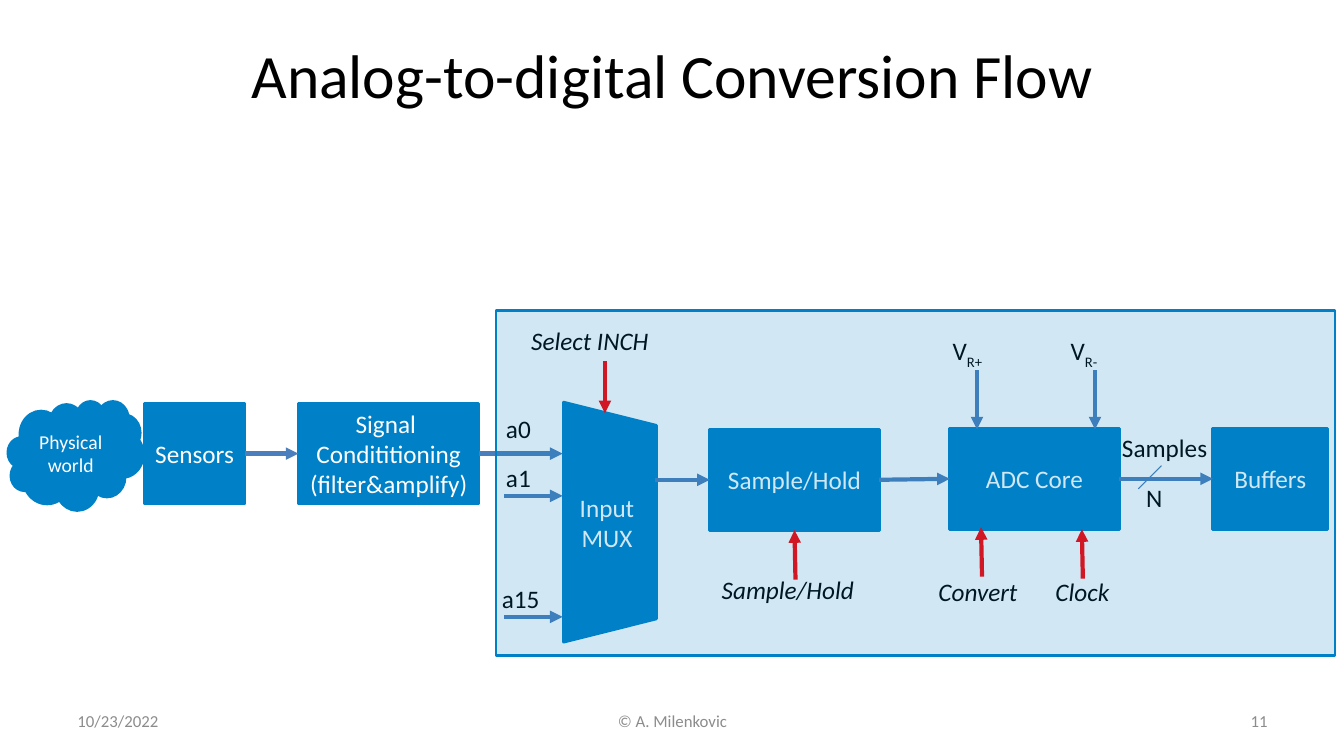
from lxml.etree import SubElement
from pptx import Presentation
from pptx.dml.color import RGBColor
from pptx.enum.shapes import MSO_CONNECTOR, MSO_SHAPE
from pptx.enum.text import MSO_ANCHOR, PP_ALIGN
from pptx.oxml.ns import qn
from pptx.util import Pt

EMU_PER_PX = 9144  # 100 px to the inch
COLORS = {"block": "0080C7", "signal": "4B7EBC", "control": "FF0000",
          "text": "000000", "block_text": "FFFFFF", "footer": "8C8C8C"}
TOP, LEFT, BOTTOM, RIGHT = range(4)


def px(*lengths):
    return [length * EMU_PER_PX for length in lengths]


def rgb(name):
    return RGBColor.from_string(COLORS[name])


class FlowSlide:
    font = "Calibri"

    def __init__(self, deck):
        self.slide = deck.slides.add_slide(deck.slide_layouts[5])
        self.shapes = self.slide.shapes

    def style(self, frame, size, color, align, anchor, italic=False):
        frame.word_wrap = True
        frame.vertical_anchor = anchor
        for paragraph in frame.paragraphs:
            paragraph.alignment = align
            for run in paragraph.runs:
                run.font.name = self.font
                run.font.size = Pt(size)
                run.font.italic = italic
                run.font.color.rgb = rgb(color)

    def title(self, text, box):
        heading = self.shapes.title
        heading.left, heading.top, heading.width, heading.height = px(*box)
        heading.text_frame.text = text
        self.style(heading.text_frame, 44, "text", PP_ALIGN.CENTER, MSO_ANCHOR.MIDDLE)

    def footer(self, text, left, width, align):
        note = self.shapes.add_textbox(*px(left, 695, width, 40))
        note.text_frame.text = text
        self.style(note.text_frame, 12, "footer", align, MSO_ANCHOR.MIDDLE)

    def label(self, text, left, top, width, italic=False, subscript=""):
        caption = self.shapes.add_textbox(*px(left, top, width, 40))
        caption.text_frame.text = text
        if subscript:
            index = caption.text_frame.paragraphs[0].add_run()
            index.text = subscript
            index.font._element.set("baseline", "-25000")
        self.style(caption.text_frame, 18, "text", PP_ALIGN.LEFT, MSO_ANCHOR.TOP, italic)

    def block(self, text, box, kind=MSO_SHAPE.RECTANGLE, size=18):
        stage = self.shapes.add_shape(kind, *px(*box))
        stage.shadow.inherit = False
        stage.fill.solid()
        stage.fill.fore_color.rgb = rgb("block")
        stage.line.color.rgb = rgb("block")
        stage.line.width = Pt(2)
        stage.text_frame.text = text
        self.style(stage.text_frame, size, "block_text", PP_ALIGN.CENTER, MSO_ANCHOR.MIDDLE)
        return stage

    def multiplexer(self, text, box):
        """Trapezoid turned so its wide side faces left, with upright text."""
        mux = self.block(text, box, MSO_SHAPE.TRAPEZOID)
        mux.rotation = 90
        mux.text_frame._txBody.bodyPr.set("vert", "vert270")

    def tinted_frame(self, box, opacity):
        frame = self.block("", box)
        color = frame.fill._xPr.find(qn("a:solidFill"))[0]
        SubElement(color, qn("a:alpha")).set("val", str(opacity * 1000))

    def line(self, start, end, color="signal", width=3, arrow=True, source=None, target=None):
        """Line between two points; source and target are (shape, side) to join."""
        link = self.shapes.add_connector(MSO_CONNECTOR.STRAIGHT, *px(*start, *end))
        link.line.color.rgb = rgb(color)
        link.line.width = Pt(width)
        if arrow:
            SubElement(link.line._get_or_add_ln(), qn("a:tailEnd")).set("type", "triangle")
        SubElement(link._element.spPr, qn("a:effectLst"))
        if source:
            link.begin_connect(*source)
        if target:
            link.end_connect(*target)


def main():
    deck = Presentation()
    deck.slide_width, deck.slide_height = px(1333, 750)
    flow = FlowSlide(deck)

    flow.title("Analog-to-digital Conversion Flow", (67, 30, 1200, 87))
    flow.footer("10/23/2022", 67, 311, PP_ALIGN.LEFT)
    flow.footer("© A. Milenkovic", 456, 422, PP_ALIGN.CENTER)
    flow.footer("11", 956, 311, PP_ALIGN.RIGHT)

    flow.block("Physical\vworld", (8, 398, 134, 108), MSO_SHAPE.CLOUD, 14)
    sensors = flow.block("Sensors", (143, 400, 100, 100))
    conditioning = flow.block("Signal \vCondititioning\v(filter&amplify)", (296, 400, 179, 100))
    flow.multiplexer("Input MUX", (486, 472, 238, 92))
    sample_hold = flow.block("Sample/Hold", (704, 426, 168, 100))
    adc_core = flow.block("ADC Core", (942, 425, 168, 100))
    buffers = flow.block("Buffers", (1203, 425, 114, 100))

    flow.line((243, 450), (296, 450), source=(sensors, RIGHT), target=(conditioning, LEFT))
    flow.line((475, 450), (558, 450), source=(conditioning, RIGHT))
    for y in (492, 612):
        flow.line((500, y), (558, y))
    flow.line((650, 476), (704, 476), target=(sample_hold, LEFT))
    flow.line((872, 476), (942, 475), source=(sample_hold, RIGHT), target=(adc_core, LEFT))
    flow.line((1110, 475), (1203, 475), source=(adc_core, RIGHT), target=(buffers, LEFT))
    flow.line((1129, 485), (1152, 462), width=0.75, arrow=False)

    for channel, left, top, width in (("a0", 492, 405, 47), ("a1", 492, 454, 47),
                                      ("a15", 488, 574, 73)):
        flow.label(channel, left, top, width)
    flow.label("Samples", 1103, 424, 106)
    flow.label("N", 1127, 474, 50)

    for reference, x in (("R+", 969), ("R-", 1086)):
        flow.line((x, 367), (x, 426))
        flow.label("V", x - 34, 328, 75, subscript=reference)

    flow.line((600, 358), (600, 410), "control")
    flow.line((789, 575), (788, 526), "control", target=(sample_hold, BOTTOM))
    flow.line((974, 572), (973, 523), "control")
    flow.line((1074, 574), (1073, 525), "control")
    for control, left, top, width in (("Select INCH", 517, 318, 167), ("Sample/Hold", 706, 565, 167),
                                      ("Convert", 921, 567, 100), ("Clock", 1037, 567, 78)):
        flow.label(control, left, top, width, italic=True)

    flow.tinted_frame((492, 308, 832, 342), 18)
    deck.save("out.pptx")


if __name__ == "__main__":
    main()
